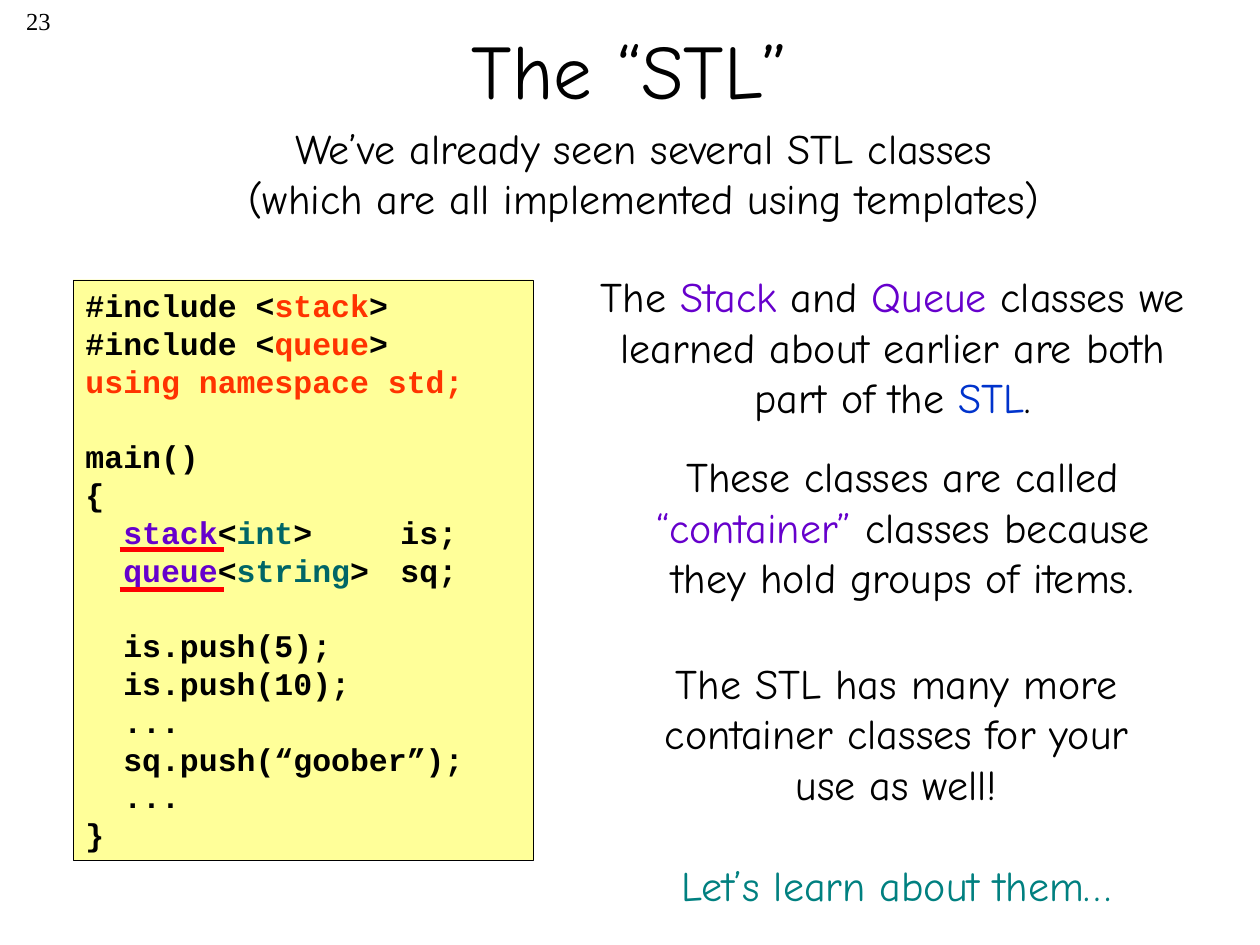
from lxml import etree
from pptx import Presentation
from pptx.dml.color import RGBColor
from pptx.enum.shapes import MSO_CONNECTOR as CONNECTOR, MSO_SHAPE as SHAPE
from pptx.enum.text import MSO_ANCHOR as ANCHOR, PP_ALIGN as ALIGN
from pptx.oxml.ns import qn
from pptx.util import Inches, Pt

HAND, MONO, SERIF = "Comic Neue", "Courier New", "Times New Roman"
BLACK, RED, YELLOW = "000000", "FF0000", "FFFF99"
ORANGE, PURPLE, GREEN, BLUE, TEAL = "FF3300", "6600CC", "006666", "0033CC", "008080"
LEADING = 1.2

# Each line is a list of (text, colour) spans; an empty list is an empty line.
CODE = [
    [("#include <", BLACK), ("stack", ORANGE), (">", BLACK)],
    [("#include <", BLACK), ("queue", ORANGE), (">", BLACK)],
    [("using namespace std;", ORANGE)],
    [],
    [("main()", BLACK)],
    [("{", BLACK)],
    [("  ", BLACK), ("stack", PURPLE), ("<", BLACK), ("int", GREEN), (">\t\tis;", BLACK)],
    [("  ", BLACK), ("queue", PURPLE), ("<", BLACK), ("string", GREEN), (">\tsq;", BLACK)],
    [],
    [("  is.push(5);", BLACK)],
    [("  is.push(10);", BLACK)],
    [("  ...", BLACK)],
    [("  sq.push(“goober”);", BLACK)],
    [("  ...", BLACK)],
    [("}", BLACK)],
]
MEMBERS = [[
    ("The ", BLACK), ("Stack", PURPLE), (" and ", BLACK), ("Queue", PURPLE),
    (" classes we learned about earlier are both part of the ", BLACK),
    ("STL", BLUE), (".", BLACK),
]]
CONTAINERS = [[
    ("These classes are called ", BLACK), ("“container”", PURPLE),
    (" classes because they hold groups of items.", BLACK),
]]
MORE = [
    [("The STL has many more container classes for your use as well!", BLACK)],
    [],
    [("Let’s learn about them…", TEAL)],
]
INTRO = [
    [("We’ve already seen several STL classes", BLACK)],
    [("(which are all implemented using templates)", BLACK)],
]


def color(value):
    return RGBColor.from_string(value)


def write_lines(frame, lines, font, size, align=ALIGN.CENTER, bold=False):
    """Write one paragraph per line; an empty line becomes space before the next."""
    para, gap = frame.paragraphs[0], 0
    for line in lines:
        if not line:
            gap += size * LEADING
            continue
        if para.runs:
            para = frame.add_paragraph()
        para.alignment = align
        para.line_spacing = Pt(size * LEADING)
        para.space_before = Pt(gap)
        gap = 0
        for text, value in line:
            span = para.add_run()
            span.text = text
            span.font.name, span.font.size, span.font.bold = font, Pt(size), bold
            span.font.color.rgb = color(value)


def add_text(page, box, lines, font=HAND, size=24, align=ALIGN.CENTER, anchor=ANCHOR.TOP):
    frame = page.shapes.add_textbox(*map(Inches, box)).text_frame
    frame.word_wrap = True
    frame.vertical_anchor = anchor
    write_lines(frame, lines, font, size, align)


def add_underline(page, left, top, width):
    line = page.shapes.add_connector(
        CONNECTOR.STRAIGHT, Inches(left), Inches(top), Inches(left + width), Inches(top))
    line.line.color.rgb = color(RED)
    line.line.width = Pt(3)
    etree.SubElement(line._element.spPr, qn("a:effectLst"))


def add_code_panel(page, box):
    left, top = box[:2]
    panel = page.shapes.add_shape(SHAPE.RECTANGLE, *map(Inches, box))
    panel.shadow.inherit = False
    panel.fill.solid()
    panel.fill.fore_color.rgb = color(YELLOW)
    panel.line.color.rgb = color(BLACK)
    panel.line.width = Pt(0.25)
    frame = panel.text_frame
    frame.word_wrap = False
    frame.vertical_anchor = ANCHOR.TOP
    write_lines(frame, CODE, MONO, 18, ALIGN.LEFT, bold=True)
    for drop in (2.14, 2.46):
        add_underline(page, left + 0.37, top + drop, 0.83)


def add_header(page):
    add_text(page, (0, 0, 0.5, 0.5), [[("23", BLACK)]], SERIF, 14, ALIGN.RIGHT)
    add_text(page, (0.75, -0.08, 8.5, 1.25), [[("The “STL”", BLACK)]],
             size=44, anchor=ANCHOR.MIDDLE)
    add_text(page, (1.63, 0.92, 6.96, 0.9), INTRO)


def add_remarks(page):
    add_text(page, (4.5, 2.1, 5.17, 1.3), MEMBERS)
    add_text(page, (4.83, 3.53, 4.67, 1.3), CONTAINERS)
    add_text(page, (4.92, 5.17, 4.39, 2.1), MORE)


def main():
    deck = Presentation()
    deck.slide_width, deck.slide_height = Inches(10), Inches(7.5)
    page = deck.slides.add_slide(deck.slide_layouts[6])
    add_header(page)
    add_code_panel(page, (0.58, 2.22, 3.65, 4.61))
    add_remarks(page)
    deck.save("out.pptx")


if __name__ == "__main__":
    main()
